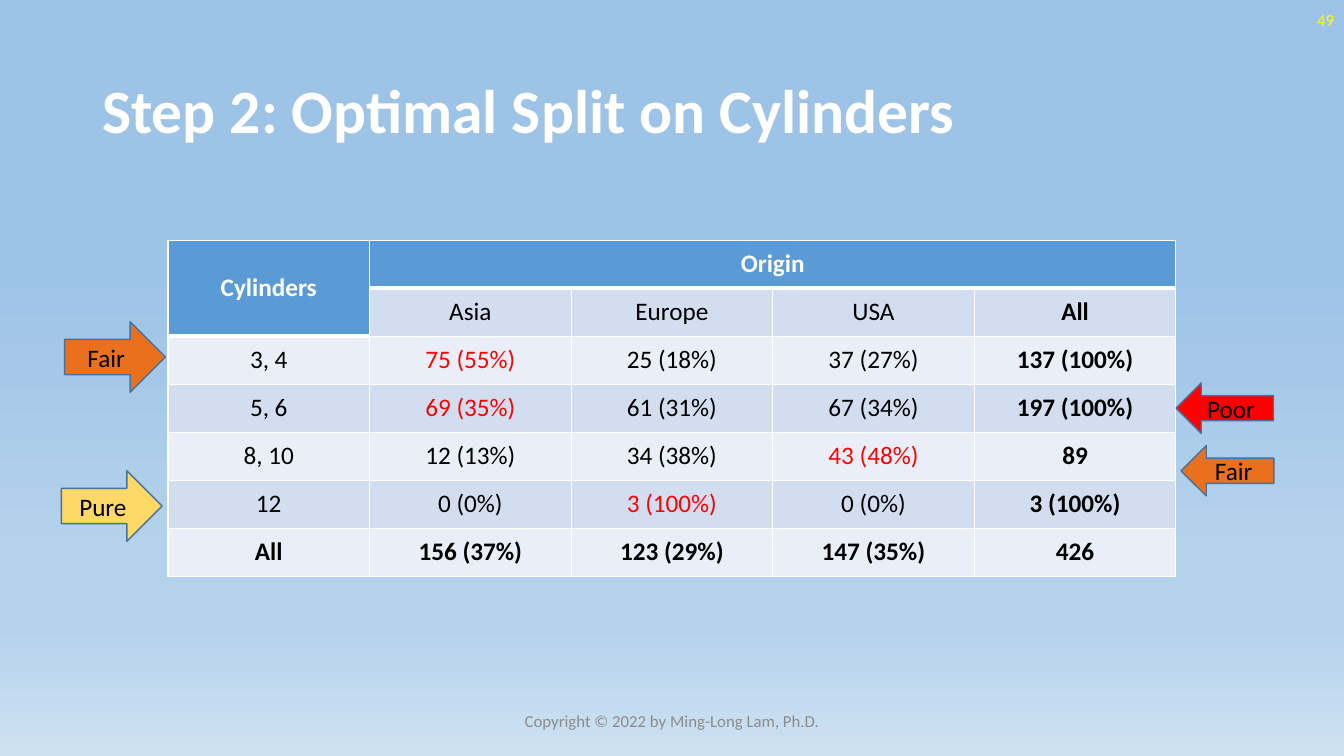
from dataclasses import dataclass

from lxml.etree import SubElement
from pptx import Presentation
from pptx.dml.color import RGBColor
from pptx.enum.shapes import MSO_SHAPE as Preset
from pptx.enum.text import MSO_ANCHOR as Anchor, PP_ALIGN as Align
from pptx.oxml.ns import qn
from pptx.slide import Slide
from pptx.table import _Cell as Cell
from pptx.text.text import TextFrame
from pptx.util import Emu, Inches, Pt

WIDTH, HEIGHT = Inches(13.33), Inches(7.5)
GRID_COLUMNS, GRID_ROWS = 160, 90
FONT = "Calibri"

WHITE = RGBColor(0xFF, 0xFF, 0xFF)
BLACK = RGBColor(0x00, 0x00, 0x00)
RED = RGBColor(0xFF, 0x00, 0x00)
YELLOW = RGBColor(0xFF, 0xFF, 0x00)
GRAY = RGBColor(0x8C, 0x8C, 0x8C)
ORANGE = RGBColor(0xEB, 0x70, 0x1D)
GOLD = RGBColor(0xFF, 0xD9, 0x66)
OUTLINE = RGBColor(0x43, 0x73, 0x9E)
HEADER = RGBColor(0x5B, 0x9B, 0xD5)
DARK_BAND = RGBColor(0xD2, 0xDE, 0xEF)
LIGHT_BAND = RGBColor(0xEA, 0xEF, 0xF7)
SKY = RGBColor(0x9D, 0xC3, 0xE6)
HAZE = RGBColor(0xB5, 0xD2, 0xEC)
HORIZON = RGBColor(0xCE, 0xE1, 0xF2)
SKY_STOPS = [(35, SKY), (74, HAZE), (83, HAZE), (100, HORIZON)]


@dataclass(frozen=True)
class Area:
    column: float
    row: float
    columns: float
    rows: float

    def box(self) -> tuple[Emu, Emu, Emu, Emu]:
        return (
            Emu(round(self.column * WIDTH / GRID_COLUMNS)),
            Emu(round(self.row * HEIGHT / GRID_ROWS)),
            Emu(round(self.columns * WIDTH / GRID_COLUMNS)),
            Emu(round(self.rows * HEIGHT / GRID_ROWS)),
        )


@dataclass(frozen=True)
class Label:
    text: str
    area: Area
    size: int
    color: RGBColor
    align: Align
    bold: bool = False
    spacing: float = 1.0


@dataclass(frozen=True)
class Verdict:
    text: str
    area: Area
    preset: Preset
    color: RGBColor


LABELS = [
    Label("Step 2: Optimal Split on Cylinders", Area(11, 4.8, 138, 17.4), 44, WHITE, Align.LEFT, True, 0.9),
    Label("Copyright © 2022 by Ming-Long Lam, Ph.D.", Area(53, 83.4, 54, 4.8), 12, GRAY, Align.CENTER),
    Label("49", Area(124, 0, 36, 4.8), 12, YELLOW, Align.RIGHT),
]

VERDICTS = [
    Verdict("Fair", Area(7.7, 38.3, 12, 8.4), Preset.RIGHT_ARROW, ORANGE),
    Verdict("Pure", Area(7.3, 56.05, 12, 8.4), Preset.RIGHT_ARROW, GOLD),
    Verdict("Poor", Area(140, 45.6, 11.6, 6), Preset.LEFT_ARROW, RED),
    Verdict("Fair", Area(140.6, 53.05, 11.05, 6), Preset.LEFT_ARROW, ORANGE),
]

TABLE_AREA = Area(20, 28.6, 120, 40)
COUNTS = [
    ["Cylinders", "Origin", "", "", ""],
    ["", "Asia", "Europe", "USA", "All"],
    ["3, 4", "75 (55%)", "25 (18%)", "37 (27%)", "137 (100%)"],
    ["5, 6", "69 (35%)", "61 (31%)", "67 (34%)", "197 (100%)"],
    ["8, 10", "12 (13%)", "34 (38%)", "43 (48%)", "89"],
    ["12", "0 (0%)", "3 (100%)", "0 (0%)", "3 (100%)"],
    ["All", "156 (37%)", "123 (29%)", "147 (35%)", "426"],
]
LARGEST_SHARES = {(2, 1), (3, 1), (4, 3), (5, 2)}


def write(
    frame: TextFrame,
    text: str,
    *,
    size: int = 18,
    color: RGBColor = BLACK,
    bold: bool = False,
    align: Align = Align.CENTER,
    spacing: float = 1.0,
) -> None:
    frame.word_wrap = True
    frame.vertical_anchor = Anchor.MIDDLE
    paragraph = frame.paragraphs[0]
    paragraph.alignment = align
    paragraph.line_spacing = spacing
    run = paragraph.add_run()
    run.text = text
    run.font.name = FONT
    run.font.size = Pt(size)
    run.font.bold = bold
    run.font.color.rgb = color


def paint_background(slide: Slide) -> None:
    fill = slide.background.fill
    fill.gradient()
    fill.gradient_angle = 270
    stops = slide.element.find(".//" + qn("a:gsLst"))
    stops.clear()
    for percent, color in SKY_STOPS:
        stop = SubElement(stops, qn("a:gs"), pos=str(percent * 1000))
        SubElement(stop, qn("a:srgbClr"), val=str(color))


def add_label(slide: Slide, label: Label) -> None:
    shape = slide.shapes.add_textbox(*label.area.box())
    write(
        shape.text_frame,
        label.text,
        size=label.size,
        color=label.color,
        bold=label.bold,
        align=label.align,
        spacing=label.spacing,
    )


def add_verdict(slide: Slide, verdict: Verdict) -> None:
    shape = slide.shapes.add_shape(verdict.preset, *verdict.area.box())
    shape.shadow.inherit = False
    shape.fill.solid()
    shape.fill.fore_color.rgb = verdict.color
    shape.line.color.rgb = OUTLINE
    shape.line.width = Pt(1)
    write(shape.text_frame, verdict.text)


def is_header(row: int, column: int) -> bool:
    return row == 0 or (row == 1 and column == 0)


def set_borders(cell: Cell, top: int, bottom: int) -> None:
    properties = cell._tc.get_or_add_tcPr()
    for side, points in (("L", 1), ("R", 1), ("T", top), ("B", bottom)):
        line = SubElement(properties, qn(f"a:ln{side}"), w=str(Pt(points)))
        fill = SubElement(line, qn("a:solidFill"))
        SubElement(fill, qn("a:srgbClr"), val=str(WHITE))


def add_counts(slide: Slide) -> None:
    row_count, column_count = len(COUNTS), len(COUNTS[0])
    table = slide.shapes.add_table(row_count, column_count, *TABLE_AREA.box()).table
    table.cell(0, 0).merge(table.cell(1, 0))
    table.cell(0, 1).merge(table.cell(0, column_count - 1))
    for row, texts in enumerate(COUNTS):
        for column, text in enumerate(texts):
            cell = table.cell(row, column)
            header = is_header(row, column)
            below_header = not header and is_header(row - 1, column)
            set_borders(cell, 3 if below_header else 1, 3 if header else 1)
            cell.fill.solid()
            band = DARK_BAND if row % 2 else LIGHT_BAND
            cell.fill.fore_color.rgb = HEADER if header else band
            cell.vertical_anchor = Anchor.MIDDLE
            if text:
                plain = RED if (row, column) in LARGEST_SHARES else BLACK
                total = row == row_count - 1 or column == column_count - 1
                write(cell.text_frame, text, color=WHITE if header else plain, bold=header or total)


def main() -> None:
    presentation = Presentation()
    presentation.slide_width, presentation.slide_height = WIDTH, HEIGHT
    slide = presentation.slides.add_slide(presentation.slide_layouts[6])
    paint_background(slide)
    for label in LABELS:
        add_label(slide, label)
    add_counts(slide)
    for verdict in VERDICTS:
        add_verdict(slide, verdict)
    presentation.save("out.pptx")


if __name__ == "__main__":
    main()
